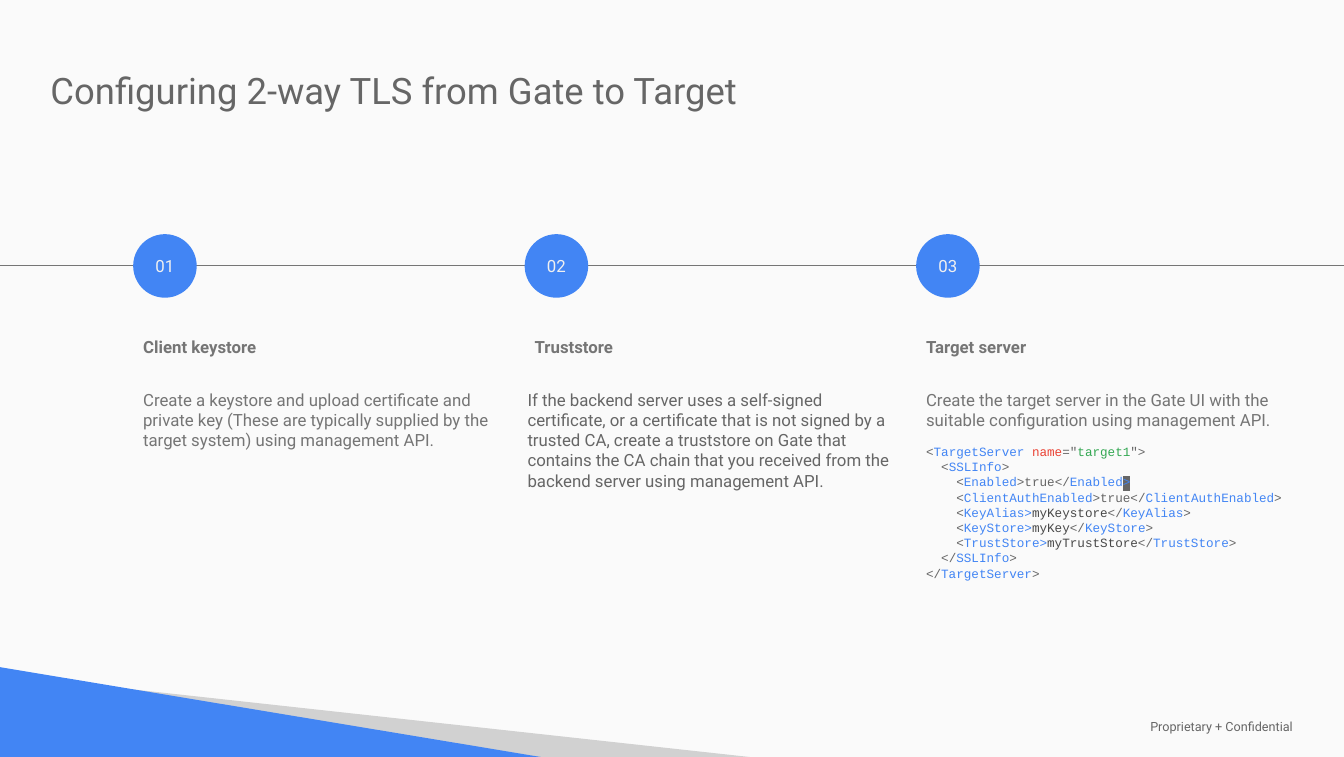
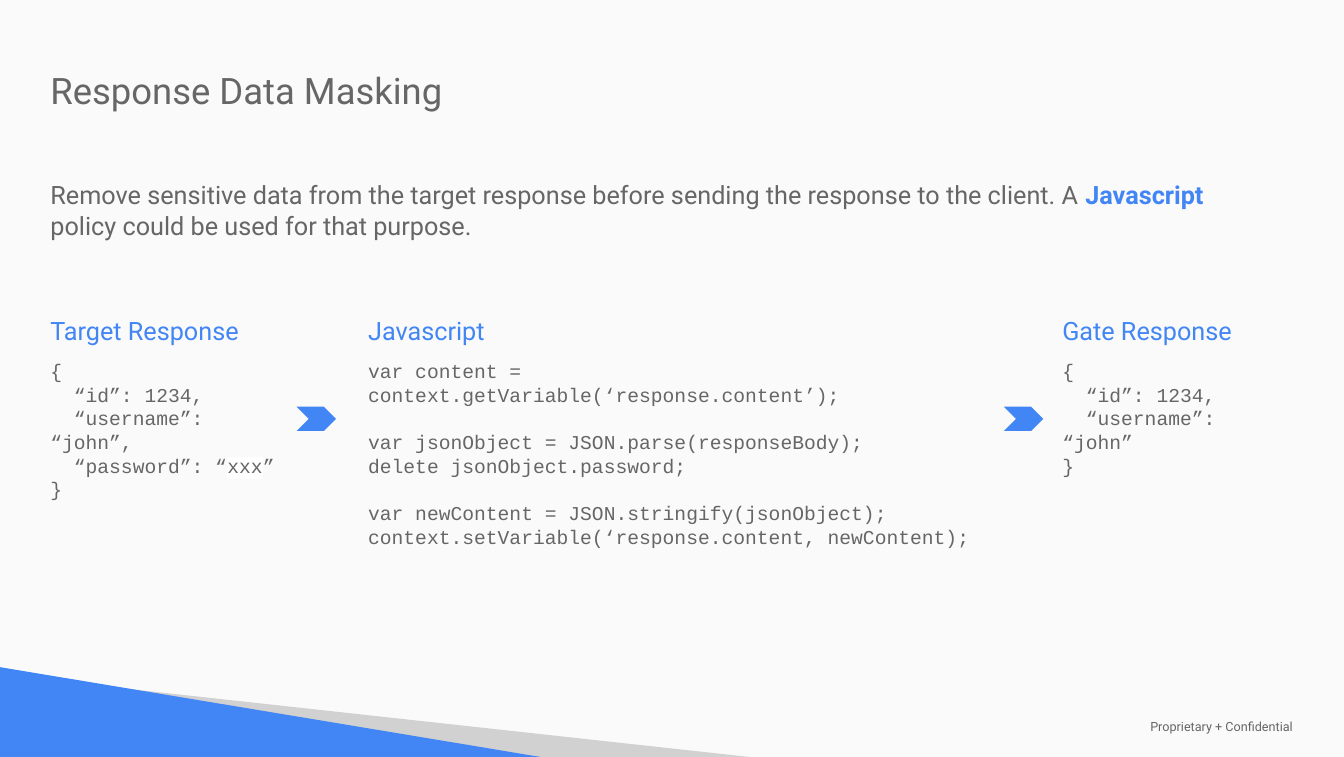
"""Build two slides on two-way TLS setup and response data masking."""
from lxml.etree import SubElement
from pptx import Presentation
from pptx.dml.color import RGBColor
from pptx.enum.shapes import MSO_CONNECTOR, MSO_SHAPE
from pptx.enum.text import MSO_ANCHOR, MSO_AUTO_SIZE, PP_ALIGN
from pptx.oxml.ns import qn
from pptx.util import Inches, Pt

BLUE, GRAY, MID_GRAY, DARK = "4285F4", "666666", "757575", "484848"
RED, GREEN, WHITE = "EA4335", "34A853", "FFFFFF"
BODY_FONT, CODE_FONT = "Roboto", "Courier New"
color = RGBColor.from_string


def set_frame(shape, left, top, width, height, inset=0.1):
    """Place a text shape and return its wrapped, top-anchored frame."""
    shape.left, shape.top = Inches(left), Inches(top)
    shape.width, shape.height = Inches(width), Inches(height)
    frame = shape.text_frame
    frame.word_wrap = True
    frame.auto_size = MSO_AUTO_SIZE.NONE
    frame.vertical_anchor = MSO_ANCHOR.TOP
    frame.margin_left = frame.margin_right = Inches(inset)
    frame.margin_top = frame.margin_bottom = Inches(inset)
    return frame


def write(frame, pieces, size, hex_color=GRAY, font=BODY_FONT, before=0):
    """Write one paragraph from (text, colour, highlight) pieces or a string."""
    paragraph = frame.add_paragraph() if frame.text else frame.paragraphs[0]
    paragraph.alignment = PP_ALIGN.LEFT
    paragraph.space_before = Pt(before)
    properties = paragraph._p.get_or_add_pPr()
    properties.set("marL", "0")
    properties.set("indent", "0")
    SubElement(properties, qn("a:buNone"))
    paragraph.font.size = Pt(size)
    paragraph.font.name = font
    paragraph.font.color.rgb = color(hex_color)
    for text, run_color, *highlight in [(pieces, None)] if isinstance(pieces, str) else pieces:
        run = paragraph.add_run()
        run.text = text
        if run_color:
            run.font.color.rgb = color(run_color)
        for highlight_color in highlight:
            element = SubElement(run._r.get_or_add_rPr(), qn("a:highlight"))
            SubElement(element, qn("a:srgbClr")).set("val", highlight_color)
    return paragraph


presentation = Presentation()
presentation.slide_width, presentation.slide_height = Inches(13.32), Inches(7.5)
master = presentation.slide_master
master.background.fill.solid()
master.background.fill.fore_color.rgb = color("FAFAFA")

tls_slide = presentation.slides.add_slide(presentation.slide_layouts[5])
masking_slide = presentation.slides.add_slide(presentation.slide_layouts[1])

shared_shapes = []
for points, band_color in [
    ([(1.13, 6.81), (7.43, 7.5), (5.34, 7.5)], "D1D1D1"),
    ([(0, 6.61), (0, 7.5), (5.36, 7.5)], BLUE),
]:
    corners = [(Inches(x), Inches(y)) for x, y in points]
    builder = tls_slide.shapes.build_freeform(*corners[0])
    builder.add_line_segments(corners[1:], close=True)
    band = builder.convert_to_shape()
    band.shadow.inherit = False
    band.fill.solid()
    band.fill.fore_color.rgb = color(band_color)
    band.line.fill.background()
    shared_shapes.append(band)

footer = tls_slide.shapes.add_textbox(0, 0, 0, 0)
footer_frame = set_frame(footer, 11.27, 7.11, 1.99, 0.18, 0.13)
footer_frame.vertical_anchor = MSO_ANCHOR.MIDDLE
write(footer_frame, "Proprietary + Confidential", 9)
shared_shapes.append(footer)

for number, shape in enumerate(shared_shapes, 20):
    shape.element.xpath(".//p:cNvPr")[0].set("id", str(number))
    master.shapes.element.append(shape.element)

for slide, title in [
    (tls_slide, "Configuring 2-way TLS from Gate to Target"),
    (masking_slide, "Response Data Masking"),
]:
    write(set_frame(slide.shapes.title, 0.4, 0.57, 12, 0.8), title, 26)

timeline = tls_slide.shapes.add_connector(
    MSO_CONNECTOR.STRAIGHT, 0, Inches(2.63), presentation.slide_width, Inches(2.63))
timeline.line.color.rgb = color(MID_GRAY)
timeline.line.width = Pt(0.75)
SubElement(timeline.element.spPr, qn("a:effectLst"))

steps = [
    ("Client keystore", 1.32, MID_GRAY,
     "Create a keystore and upload certificate and private key (These are typically "
     "supplied by the target system) using management API."),
    ("Truststore", 5.13, GRAY,
     "If the backend server uses a self-signed certificate, or a certificate that is not "
     "signed by a trusted CA, create a truststore on Gate that contains the CA chain that "
     "you received from the backend server using management API."),
    ("Target server", 9.08, MID_GRAY,
     "Create the target server in the Gate UI with the suitable configuration using "
     "management API."),
]
for index, (heading, text_left, text_color, description) in enumerate(steps):
    left = 1.32 + 3.88 * index
    circle = tls_slide.shapes.add_shape(MSO_SHAPE.OVAL, 0, 0, 0, 0)
    circle.shadow.inherit = False
    circle.fill.solid()
    circle.fill.fore_color.rgb = color(BLUE)
    circle.line.fill.background()
    circle_frame = set_frame(circle, left, 2.32, 0.63, 0.63, 0)
    circle_frame.vertical_anchor = MSO_ANCHOR.MIDDLE
    write(circle_frame, f"{index + 1:02}", 12, "F0F0F0").alignment = PP_ALIGN.CENTER
    heading_frame = set_frame(tls_slide.shapes.add_textbox(0, 0, 0, 0), left, 3.24, 1.59, 0.43)
    write(heading_frame, heading, 12, MID_GRAY).font.bold = True
    step_frame = set_frame(tls_slide.shapes.add_textbox(0, 0, 0, 0), text_left, 3.76, 3.9, 2.03)
    write(step_frame, description, 12, text_color)

server_code = [
    [("<", GRAY), ("TargetServer ", BLUE), ("name", RED), ('="', GRAY),
     ("target1", GREEN), ('">', GRAY)],
    [("  <", GRAY), ("SSLInfo", BLUE), (">", GRAY)],
    [("    <", GRAY), ("Enabled", BLUE), (">true</", GRAY), ("Enabled", BLUE),
     (">", BLUE, GRAY)],
    [("    <", GRAY), ("ClientAuthEnabled", BLUE), (">true</", GRAY),
     ("ClientAuthEnabled", BLUE), (">", GRAY)],
]
for tag, value in [("KeyAlias", "myKeystore"), ("KeyStore", "myKey"),
                   ("TrustStore", "myTrustStore")]:
    server_code.append([("    <", GRAY), (f"{tag}>", BLUE), (value, DARK),
                        ("</", GRAY), (tag, BLUE), (">", GRAY)])
for opening, tag in [("  </", "SSLInfo"), ("</", "TargetServer")]:
    server_code.append([(opening, GRAY), (tag, BLUE), (">", GRAY)])
for index, line in enumerate(server_code):
    write(step_frame, line, 9, font=CODE_FONT, before=0 if index else 10)

intro_frame = set_frame(masking_slide.placeholders[1], 0.4, 1.68, 12.1, 0.8)
intro = write(intro_frame, [
    ("Remove sensitive data from the target response before sending the response to the "
     "client. A ", None),
    ("Javascript", BLUE),
    (" policy could be used for that purpose.", None),
], 18)
intro.runs[1].font.bold = True

code_columns = [
    ("Target Response", 0.4, 2.62, [
        ("{", 10), ("  “id”: 1234,", 0), ("  “username”: “john”,", 0),
        ([("  “password”: “", None), ("xxx", None, WHITE), ("”", None)], 0), ("}", 0)]),
    ("Javascript", 3.55, 6.31, [
        ("var content = context.getVariable(‘response.content’);", 10),
        ("var jsonObject = JSON.parse(responseBody);", 17),
        ("delete jsonObject.password;", 0),
        ("var newContent = JSON.stringify(jsonObject);", 17),
        ("context.setVariable(‘response.content, newContent);", 0)]),
    ("Gate Response", 10.43, 2.5, [
        ("{", 10), ("  “id”: 1234,", 0), ("  “username”: “john”", 0), ("}", 0)]),
]
for heading, left, width, lines in code_columns:
    code_frame = set_frame(masking_slide.shapes.add_textbox(0, 0, 0, 0), left, 3.02, width, 2.78)
    write(code_frame, heading, 18, BLUE)
    for line, before in lines:
        write(code_frame, line, 14, font=CODE_FONT, before=before)

for left in (2.94, 9.95):
    chevron = masking_slide.shapes.add_shape(
        MSO_SHAPE.CHEVRON, Inches(left), Inches(4.03), Inches(0.39), Inches(0.24))
    chevron.shadow.inherit = False
    chevron.fill.solid()
    chevron.fill.fore_color.rgb = color(BLUE)
    chevron.line.fill.background()

presentation.save("out.pptx")
